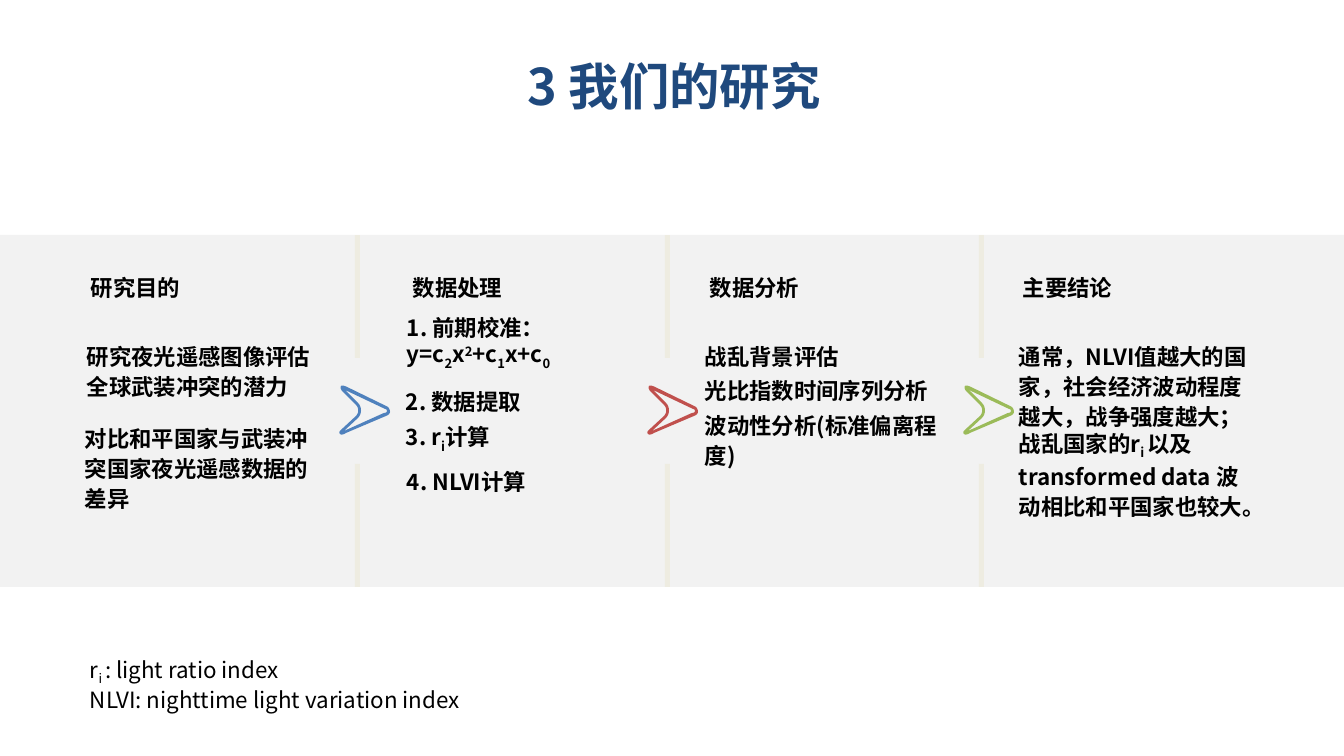
from lxml.etree import SubElement
from pptx import Presentation
from pptx.dml.color import RGBColor as RGB
from pptx.enum.shapes import MSO_SHAPE as Shape
from pptx.enum.text import MSO_ANCHOR as Anchor, MSO_AUTO_SIZE as Auto, PP_ALIGN as Align
from pptx.oxml.ns import qn
from pptx.util import Pt

PX = 914400 / 100.8
FONT = "Noto Sans CJK SC"
COLORS = {"title": "1F497D", "text": "000000", "band": "F2F2F2", "bar": "EEECE1",
          "blue": "4F81BD", "red": "C0504D", "green": "9BBB59"}
BASE = {"_": "-25000", "^": "30000"}

# Chevron contours: a pair is a corner, three pairs are a curve
OUTER = [(51, 29), ((51, 27), (50, 24), (47, 23)), (8, 4),
         ((6, 3), (3, 2), (2, 3)), ((1, 5), (2, 7), (4, 9)), (17, 22),
         ((20, 25), (20, 30), (17, 33)), (3, 46),
         ((2, 47), (-1, 49), (1, 51)), ((2, 52), (4, 52), (7, 50)), (47, 33),
         ((50, 32), (51, 30), (51, 29))]
INNER = [(45, 30), (5, 48), (19, 35), ((23, 31), (23, 24), (19, 20)), (6, 7),
         (46, 26), ((47, 26), (48, 27), (48, 28)), ((48, 29), (47, 30), (45, 30))]

# Columns: left, heading offset, texts as (x, y, width, height, paragraphs);
# "|" splits runs, "_" lowers and "^" raises a run
COLS = [
    (73, 8, [(2, 334, 260, 75, ["研究夜光遥感图像评估全球武装冲突的潜力"]),
             (0, 416, 260, 106, ["对比和平国家与武装冲突国家夜光遥感数据的差异"])]),
    (394, 9, [(1, 305, 260, 75, ["1. 前期校准：y=c|_2|x|^2|+c|_1|x+c|_0"]),
              (0, 379, 260, 43, ["2. 数据提取"]),
              (0, 418, 260, 43, ["3. r|_i|计算"]),
              (1, 459, 260, 43, ["4. NLVI计算"])]),
    (693, 7, [(0, 334, 260, 147, ["战乱背景评估", "光比指数时间序列分析",
                                  "波动性分析(标准偏离程度)"])]),
    (1007, 6, [(0, 334, 260, 199, ["通常，NLVI值越大的国家，社会经济波动程度越大，战争强度越大；"
                                   "战乱国家的r|_i |以及transformed data 波动相比和平国家也较大。"])]),
]
# Dividers: bar left, chevron left, colour
STEPS = [(355, 339, "blue"), (665, 647, "red"), (979, 963, "green")]


def px(*vals):
    return [round(v * PX) for v in vals]


def paint(shape, color):
    shape.shadow.inherit = False
    shape.fill.solid()
    shape.fill.fore_color.rgb = RGB.from_string(COLORS[color])
    shape.line.fill.background()


def rect(slide, box, color):
    paint(slide.shapes.add_shape(Shape.RECTANGLE, *px(*box)), color)


def style(para, size, color, bold):
    font = para.font
    font.size, font.bold, font.name = Pt(size), bold, FONT
    font.color.rgb = RGB.from_string(COLORS[color])
    SubElement(font._element, qn("a:ea"), typeface=FONT)


def write(slide, box, paras, inset=(10, 5), bold=True, wrap=True, lead=None, anchor=Anchor.TOP):
    frame = slide.shapes.add_textbox(*px(*box)).text_frame
    frame.word_wrap, frame.vertical_anchor = wrap, anchor
    frame.margin_left, frame.margin_top = px(*inset)
    frame.margin_right, frame.margin_bottom = px(*inset)
    for i, text in enumerate(paras):
        para = frame.paragraphs[0] if i == 0 else frame.add_paragraph()
        style(para, 16, "text", bold)
        if lead:
            para.line_spacing, para.space_before = Pt(lead), Pt(3)
        for part in text.split("|"):
            run = para.add_run()
            run.text = part.lstrip("_^")
            if part[0] in BASE:
                run._r.get_or_add_rPr().set("baseline", BASE[part[0]])


def trace(contour, left, top):
    """Turn corners and curves into a list of EMU points."""
    pts = []
    for item in contour:
        if isinstance(item[0], tuple):
            ctrl = [pts[-1], *item]
            for t in (k / 8 for k in range(1, 9)):
                mix = ((1 - t) ** 3, 3 * t * (1 - t) ** 2, 3 * t * t * (1 - t), t ** 3)
                pts.append(tuple(sum(m * c[a] for m, c in zip(mix, ctrl)) for a in (0, 1)))
        else:
            pts.append(item)
    return [tuple(px(left + x, top + y)) for x, y in pts]


def chevron(slide, left, top, color):
    outer, inner = trace(OUTER, left, top), trace(INNER, left, top)
    form = slide.shapes.build_freeform(*outer[0], scale=1.0)
    form.add_line_segments(outer[1:], close=True)
    form.move_to(*inner[0])
    form.add_line_segments(inner[1:], close=True)
    paint(form.convert_to_shape(), color)


def title(slide, box, text):
    shape = slide.shapes.title
    shape.left, shape.top, shape.width, shape.height = px(*box)
    frame = shape.text_frame
    frame.text = text
    frame.auto_size, frame.word_wrap, frame.vertical_anchor = Auto.NONE, True, Anchor.TOP
    para = frame.paragraphs[0]
    para.alignment, para.line_spacing = Align.CENTER, Pt(50)
    style(para, 36, "title", True)


def band(slide, box):
    left, top, width, height = box
    rect(slide, box, "band")
    for bar, tip, color in STEPS:
        for y in (top, top + height - 123):
            rect(slide, (left + bar, y, 5, 123), "bar")
        chevron(slide, left + tip, top + 148, color)


def column(slide, left, top, shift, head, texts):
    write(slide, (left + shift, top, 111, 37), [head], wrap=False, anchor=Anchor.MIDDLE)
    for x, y, width, height, paras in texts:
        write(slide, (left + x, y, width, height), paras, (12, 6), lead=21.5)


deck = Presentation()
deck.slide_width, deck.slide_height = px(1344, 756)
slide = deck.slides.add_slide(deck.slide_layouts[5])
title(slide, (513, 41, 322, 81), "3 我们的研究")
band(slide, (0, 235, 1344, 352))
heads = ["研究目的", "数据处理", "数据分析", "主要结论"]
for head, (left, shift, texts) in zip(heads, COLS):
    column(slide, left, 269, shift, head, texts)
# Legend
write(slide, (80, 651, 417, 65),
      ["r|_i |: light ratio index", "NLVI: nighttime light variation index"], bold=False, wrap=False)
deck.save("out.pptx")
